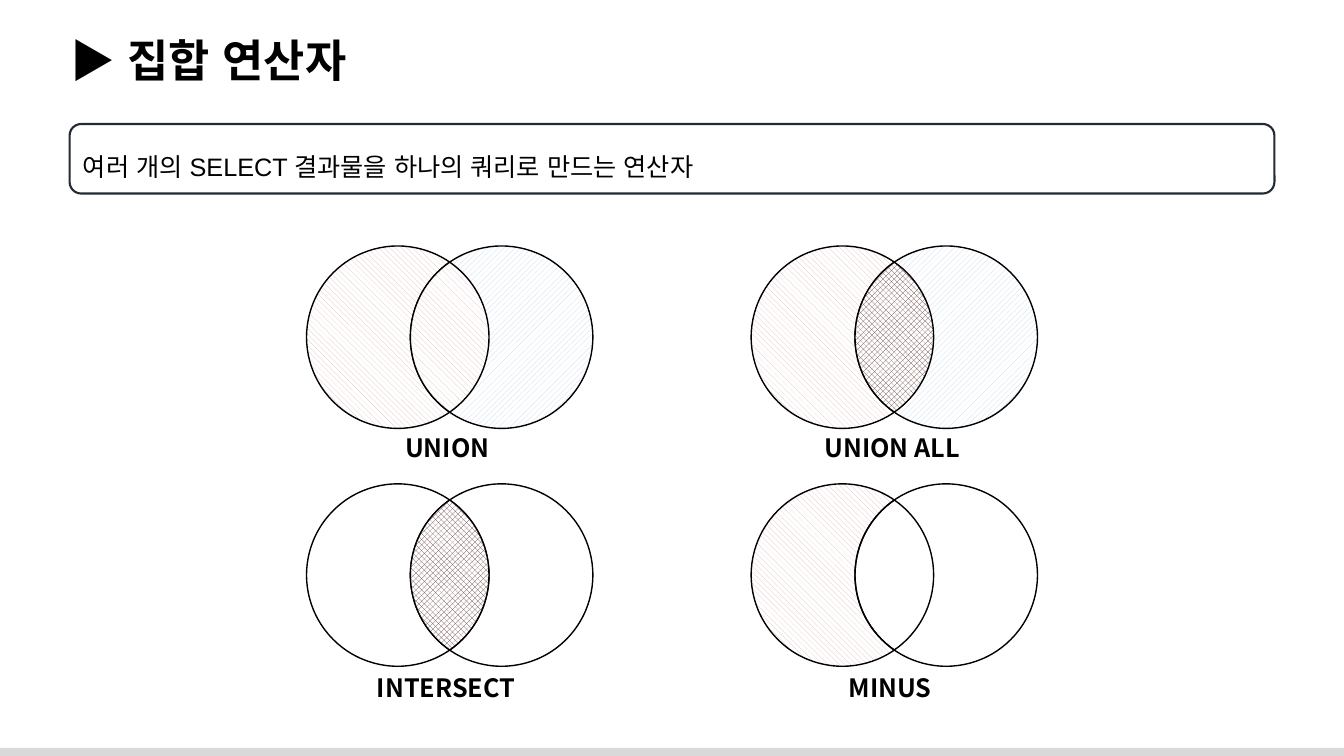
import math
from lxml import etree
from pptx import Presentation
from pptx.dml.color import RGBColor
from pptx.enum import dml, shapes, text
from pptx.oxml.ns import qn
from pptx.util import Inches, Pt

TITLE = "▶ 집합 연산자"
SUMMARY = "여러 개의 SELECT 결과물을 하나의 쿼리로 만드는 연산자"
COLORS = {"ink": "000000", "paper": "FFFFFF", "frame": "222A35", "footer": "D9D9D9",
          "pink": "E6B9B8", "blue": "BDD7EE", "brown": "653D3D"}
PINK_STRIPES = ("wdDnDiag", "pink")
BLUE_STRIPES = ("wdUpDiag", "blue")
DIAMONDS = ("openDmnd", "brown")
OPERATORS = [
    {"name": "UNION", "label": (3.92, 1.09), "fills": (PINK_STRIPES, BLUE_STRIPES, PINK_STRIPES)},
    {"name": "UNION ALL", "label": (8.08, 1.64), "fills": (PINK_STRIPES, BLUE_STRIPES, DIAMONDS)},
    {"name": "INTERSECT", "label": (3.64, 1.65), "fills": (None, None, DIAMONDS)},
    {"name": "MINUS", "label": (8.32, 1.1), "fills": (PINK_STRIPES, "paper", None)},
]
FIRST_LEFT, FIRST_TOP = 3.04, 2.44
COLUMN_STEP, ROW_STEP = 4.41, 2.36
DIAMETER, CIRCLE_STEP = 1.81, 1.03
LABEL_TOP, LABEL_STEP, LABEL_HEIGHT = 4.24, 2.38, 0.4


def rgb(name):
    return RGBColor.from_string(COLORS[name])


def paint(shape, fill=None, line=None, weight=1):
    shape.shadow.inherit = False
    if fill is None:
        shape.fill.background()
    elif isinstance(fill, tuple):
        pattern, color = fill
        shape.fill.patterned()
        shape.fill.pattern = dml.MSO_PATTERN.from_xml(pattern)
        shape.fill.fore_color.rgb = rgb(color)
        shape.fill.back_color.rgb = rgb("paper")
    else:
        shape.fill.solid()
        shape.fill.fore_color.rgb = rgb(fill)
    if line:
        shape.line.color.rgb = rgb(line)
        shape.line.width = Pt(weight)
    else:
        shape.line.fill.background()


def write(shape, words, size=18, font="Arial", bold=False, spacing=1.0,
          anchor=text.MSO_ANCHOR.TOP, grow=True):
    frame = shape.text_frame
    frame.word_wrap = True
    frame.vertical_anchor = anchor
    if grow:
        frame.auto_size = text.MSO_AUTO_SIZE.SHAPE_TO_FIT_TEXT
    paragraph = frame.paragraphs[0]
    paragraph.alignment = text.PP_ALIGN.LEFT
    paragraph.line_spacing = spacing
    run = paragraph.add_run()
    run.text = words
    run.font.size, run.font.name, run.font.bold = Pt(size), font, bold
    run.font.color.rgb = rgb("ink")
    etree.SubElement(run.font._element, qn("a:ea"), typeface=font)


def add_lens(group, left, top):
    radius = DIAMETER / 2
    half_angle = math.acos(CIRCLE_STEP / DIAMETER)
    half_width, half_height = radius - CIRCLE_STEP / 2, radius * math.sin(half_angle)
    handle = 4 / 3 * math.tan(half_angle / 4) * radius
    handle_x, handle_y = handle * math.sin(half_angle), handle * math.cos(half_angle)
    center_x, center_y = left + radius + CIRCLE_STEP / 2, top + radius
    corners = [(0, -half_height), (half_width, 0), (0, half_height), (-half_width, 0)]
    ends = [(Inches(center_x + x), Inches(center_y + y)) for x, y in corners]
    outline = group.shapes.build_freeform(*ends[0])
    outline.add_line_segments(ends[1:] + ends[:1], close=True)
    lens = outline.convert_to_shape()

    tip = (handle_x, handle_y - half_height)
    side = (half_width, -handle)
    quarters = [(tip, side, 1, 1), (side, tip, 1, -1), (tip, side, -1, -1), (side, tip, -1, 1)]
    for segment, (first, second, flip_x, flip_y) in zip(
            list(lens._element.iter(qn("a:lnTo"))), quarters):
        segment.tag = qn("a:cubicBezTo")
        for index, (x, y) in enumerate((first, second)):
            point = etree.Element(qn("a:pt"), x=str(Inches(half_width + flip_x * x)),
                                  y=str(Inches(half_height + flip_y * y)))
            segment.insert(index, point)
    return lens


def add_venn(slide, left, top, fills):
    group = slide.shapes.add_group_shape()
    for index, fill in enumerate(fills[:2]):
        circle = group.shapes.add_shape(
            shapes.MSO_SHAPE.OVAL, Inches(left + index * CIRCLE_STEP), Inches(top),
            Inches(DIAMETER), Inches(DIAMETER))
        paint(circle, fill, "ink")
    paint(add_lens(group, left, top), fills[2], "ink")


def main():
    deck = Presentation()
    deck.slide_width, deck.slide_height = Inches(13.33), Inches(7.5)
    slide = deck.slides.add_slide(deck.slide_layouts[6])

    footer = slide.shapes.add_shape(shapes.MSO_SHAPE.RECTANGLE, Inches(-0.03), Inches(7.42),
                                    Inches(13.39), Inches(0.11))
    paint(footer, "footer")

    title = slide.shapes.add_textbox(Inches(0.6), Inches(0.28), Inches(12.6), Inches(0.64))
    write(title, TITLE, size=32, bold=True)

    summary = slide.shapes.add_shape(shapes.MSO_SHAPE.ROUNDED_RECTANGLE, Inches(0.69),
                                     Inches(1.23), Inches(11.95), Inches(0.69))
    paint(summary, line="frame", weight=1.5)
    write(summary, SUMMARY, spacing=1.5, anchor=text.MSO_ANCHOR.MIDDLE, grow=False)

    for index, operator in enumerate(OPERATORS):
        row, column = divmod(index, 2)
        add_venn(slide, FIRST_LEFT + column * COLUMN_STEP, FIRST_TOP + row * ROW_STEP,
                 operator["fills"])
        label_left, label_width = operator["label"]
        label = slide.shapes.add_textbox(Inches(label_left), Inches(LABEL_TOP + row * LABEL_STEP),
                                         Inches(label_width), Inches(LABEL_HEIGHT))
        write(label, operator["name"], font="Noto Sans CJK KR", bold=True)

    deck.save("out.pptx")


if __name__ == "__main__":
    main()
